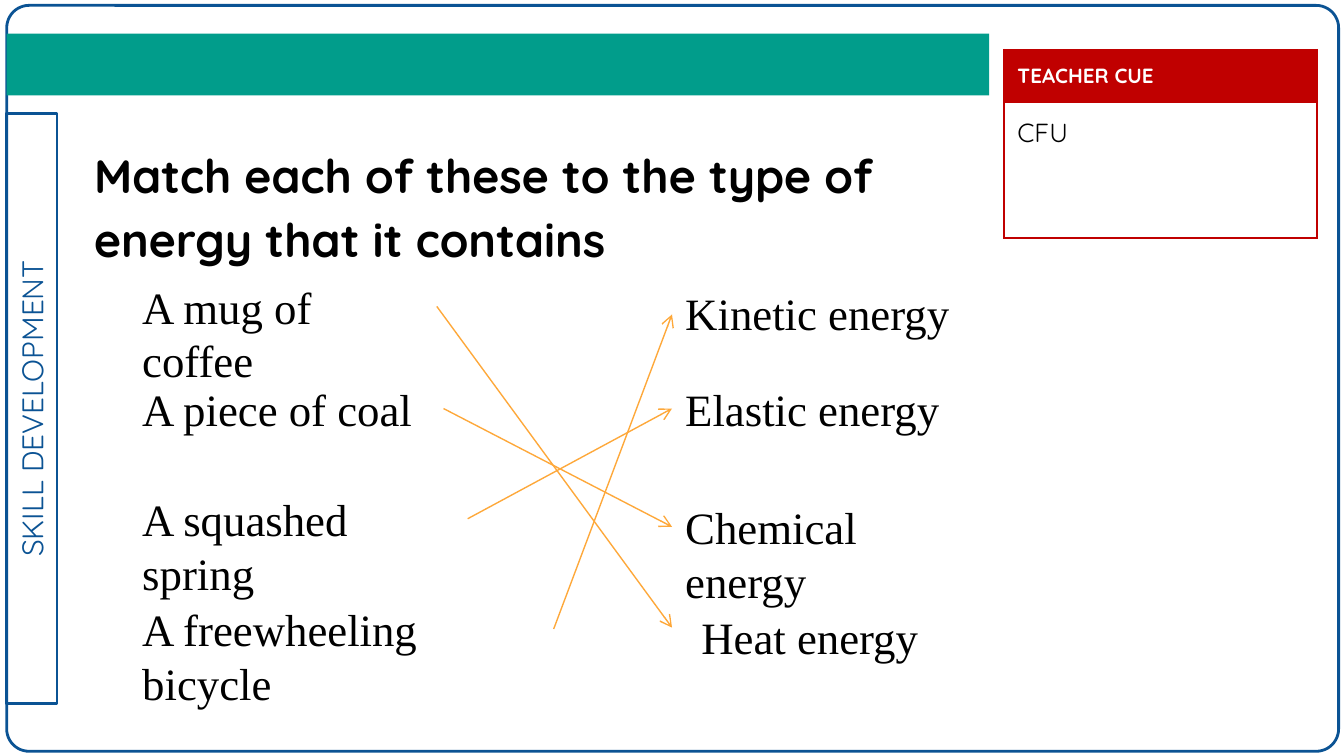
from lxml.etree import SubElement
from pptx import Presentation
from pptx.dml.color import RGBColor
from pptx.enum.shapes import MSO_CONNECTOR, MSO_SHAPE
from pptx.enum.text import MSO_ANCHOR, MSO_AUTO_SIZE, PP_ALIGN
from pptx.oxml.ns import qn
from pptx.util import Pt

PX = 9144  # EMU per px, 100 px to the inch
BLUE, TEAL, RED, ORANGE = "0B5394", "019D8B", "C00000", "FEA83A"
BLACK, WHITE = "000000", "FFFFFF"
INSET = 10


def emu(*lengths):
    return [n * PX for n in lengths]


def rgb(color):
    return RGBColor.from_string(color)


def style(p, size, color, font="Quicksand", bold=False):
    for r in p.runs:
        r.font.size, r.font.name, r.font.bold = Pt(size), font, bold
        r.font.color.rgb = rgb(color)


def set_margins(target, margin=INSET):
    target.margin_left = target.margin_right = margin * PX
    target.margin_top = target.margin_bottom = margin * PX


def add_box(s, kind, box, fill=None, line=None):
    sp = s.shapes.add_shape(kind, *emu(*box))
    sp.shadow.inherit = False
    if fill:
        sp.fill.solid()
        sp.fill.fore_color.rgb = rgb(fill)
    else:
        sp.fill.background()
    if line:
        sp.line.color.rgb = rgb(line)
        sp.line.width = Pt(1.5)
    else:
        sp.line.fill.background()
    return sp


def add_frame(s, x, y, w, h):
    """Rounded page border, vertical section tab and top band."""
    border = add_box(s, MSO_SHAPE.ROUNDED_RECTANGLE, (x, y, w, h), line=BLUE)
    border.adjustments[0] = 0.03

    tab = add_box(s, MSO_SHAPE.RECTANGLE, (x - 201, y + 281, 439, 38), line=BLUE)
    tab.rotation = 270
    tf = tab.text_frame
    set_margins(tf)
    tf.vertical_anchor = MSO_ANCHOR.MIDDLE
    tf.text = "SKILL DEVELOPMENT"
    tf.paragraphs[0].alignment = PP_ALIGN.CENTER
    style(tf.paragraphs[0], 16, BLUE)

    add_box(s, MSO_SHAPE.RECTANGLE, (x, y + 21, 731, 46), fill=TEAL)


def add_question(s, x, y, w, h):
    sp = s.placeholders[1]
    sp.left, sp.top, sp.width, sp.height = emu(x, y, w, h)
    tf = sp.text_frame
    tf.text = "Match each of these to the type of energy that it contains"
    tf.auto_size = MSO_AUTO_SIZE.NONE
    tf.vertical_anchor = MSO_ANCHOR.TOP
    set_margins(tf)
    p = tf.paragraphs[0]
    p.line_spacing, p.space_before = 1.15, Pt(0)
    style(p, 25, BLACK, bold=True)


def set_borders(cell, color):
    tc_pr = cell._tc.get_or_add_tcPr()
    for i, side in enumerate(("lnL", "lnR", "lnT", "lnB")):
        ln = tc_pr.makeelement(qn(f"a:{side}"), {"w": str(Pt(1))})
        fill = SubElement(ln, qn("a:solidFill"))
        SubElement(fill, qn("a:srgbClr"), val=color)
        tc_pr.insert(i, ln)  # borders come before the fill


def add_teacher_cue(s, x, y, w, heights):
    table = s.shapes.add_table(2, 1, *emu(x, y, w, sum(heights))).table
    rows = (("TEACHER CUE", 11, WHITE, True, RED),
            ("CFU", 14, BLACK, False, None))
    for i, (text, size, color, bold, fill) in enumerate(rows):
        table.rows[i].height = heights[i] * PX
        cell = table.cell(i, 0)
        cell.text = text
        set_margins(cell)
        style(cell.text_frame.paragraphs[0], size, color, bold=bold)
        if fill:
            cell.fill.solid()
            cell.fill.fore_color.rgb = rgb(fill)
        else:
            cell.fill.background()
        set_borders(cell, RED)


def add_item(s, text, x, y, w, h):
    tf = s.shapes.add_textbox(*emu(x, y, w, h)).text_frame
    tf.word_wrap = True
    tf.auto_size = MSO_AUTO_SIZE.SHAPE_TO_FIT_TEXT
    tf.text = text
    style(tf.paragraphs[0], 24, BLACK, font="Times New Roman")


def add_arrow(s, start, end):
    c = s.shapes.add_connector(MSO_CONNECTOR.STRAIGHT, *emu(*start, *end))
    c.line.color.rgb = rgb(ORANGE)
    c.line.width = Pt(0.75)
    SubElement(c.line._get_or_add_ln(), qn("a:tailEnd"), type="arrow")
    SubElement(c._element.spPr, qn("a:effectLst"))


def add_matching(s, x, y):
    """Two columns of items, each source joined to its energy type."""
    height, right = 50, 404
    # source, top, width, energy, energy top, energy indent, arrow end
    pairs = (
        ("A mug of coffee", 0, 229, "Heat energy", 246, 12, 264),
        ("A piece of coal", 76, 234, "Chemical energy", 164, 0, 189),
        ("A squashed spring", 158, 252, "Elastic energy", 76, 0, 101),
        ("A freewheeling bicycle", 240, 316, "Kinetic energy", 5, 0, 31),
    )
    for source, top, width, energy, energy_top, indent, _ in pairs:
        add_item(s, source, x, y + top, width, height)
        add_item(s, energy, x + right + indent, y + energy_top, 229, height)
    for _, top, width, _, _, _, end in pairs:
        add_arrow(s, (x + width, y + top + height // 2), (x + right, y + end))


def main():
    prs = Presentation()
    prs.slide_width = 1000 * PX
    prs.slide_height = prs.slide_width * 9 // 16
    s = prs.slides.add_slide(prs.slide_layouts[2])
    title = s.shapes.title._element
    title.getparent().remove(title)

    add_frame(s, 5, 4, 991, 555)
    add_question(s, 60, 93, 675, 445)
    add_teacher_cue(s, 747, 37, 233, (38, 101))
    add_matching(s, 96, 203)
    prs.save("out.pptx")


if __name__ == "__main__":
    main()
